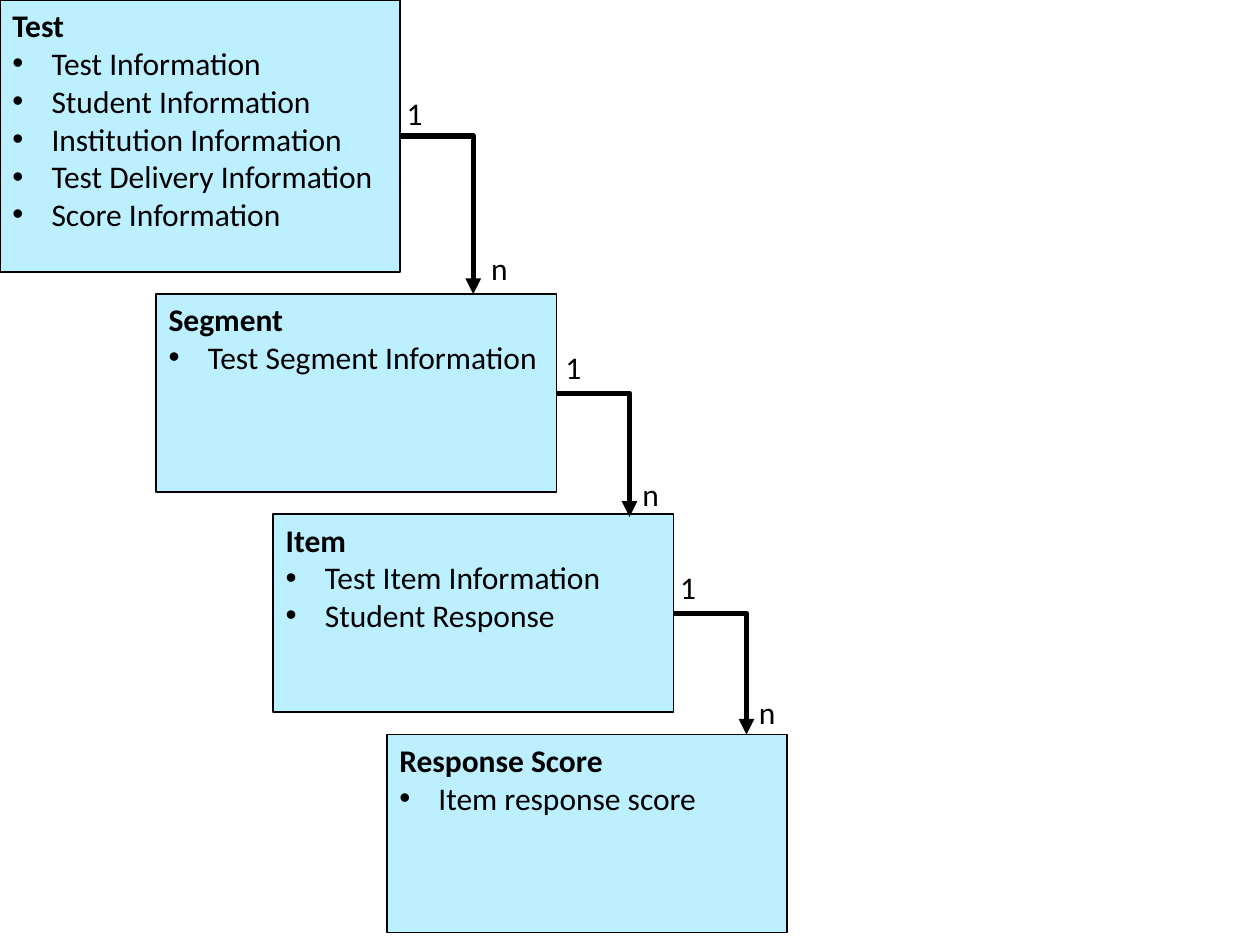
"""Build a slide showing the one-to-many hierarchy of test data."""
from dataclasses import dataclass
from itertools import pairwise

from lxml import etree
from pptx import Presentation
from pptx import util as u
from pptx.dml.color import RGBColor
from pptx.enum import shapes, text
from pptx.oxml.ns import qn

COLORS = {"box": "BCEFFF", "ink": "000000"}
FONT_NAME = "Calibri"
FONT_SIZE = u.Pt(18)
BOX_WIDTH = 8.07
BOX_GAP = 0.45
ELBOW_REACH = 1.47
BULLET_INDENT = u.Cm(0.79)


@dataclass
class Entity:
    name: str
    details: list[str]
    left: float
    height: float = 3.99
    top: float = 0
    one_offset: tuple[float, float] = (-0.09, -1.04)
    many_offset: tuple[float, float] = (0, -0.97)
    arrow_overlap: float = 0

    @property
    def right(self) -> float:
        return self.left + BOX_WIDTH

    @property
    def middle(self) -> float:
        return self.top + self.height / 2


ENTITIES = [
    Entity("Test", ["Test Information", "Student Information", "Institution Information",
                    "Test Delivery Information", "Score Information"],
           0, height=5.48, one_offset=(-0.12, -0.96), many_offset=(0.11, -1.03)),
    Entity("Segment", ["Test Segment Information"], 3.15,
           one_offset=(-0.07, -1.04), many_offset=(0.01, -0.92), arrow_overlap=0.05),
    Entity("Item", ["Test Item Information", "Student Response"], 5.51,
           one_offset=(-0.12, -1.04)),
    Entity("Response Score", ["Item response score"], 7.8),
]


def color(name: str) -> RGBColor:
    return RGBColor.from_string(COLORS[name])


def style_paragraph(paragraph, bold: bool = False) -> None:
    paragraph.alignment = text.PP_ALIGN.LEFT
    paragraph.font.name = FONT_NAME
    paragraph.font.size = FONT_SIZE
    paragraph.font.bold = bold
    paragraph.font.color.rgb = color("ink")


def add_bullet(paragraph) -> None:
    properties = paragraph._p.get_or_add_pPr()
    properties.set("marL", str(BULLET_INDENT))
    properties.set("indent", str(-BULLET_INDENT))
    bullet_font = etree.Element(qn("a:buFont"), typeface="Arial")
    bullet = etree.Element(qn("a:buChar"), char="•")
    defaults = properties.find(qn("a:defRPr"))
    defaults.addprevious(bullet_font)
    defaults.addprevious(bullet)


def draw_entity(slide, entity: Entity) -> None:
    shape = slide.shapes.add_shape(
        shapes.MSO_SHAPE.RECTANGLE, u.Cm(entity.left), u.Cm(entity.top),
        u.Cm(BOX_WIDTH), u.Cm(entity.height))
    shape.shadow.inherit = False
    shape.fill.solid()
    shape.fill.fore_color.rgb = color("box")
    shape.line.color.rgb = color("ink")
    shape.line.width = u.Pt(1)
    frame = shape.text_frame
    frame.word_wrap = True
    frame.vertical_anchor = text.MSO_ANCHOR.TOP
    heading = frame.paragraphs[0]
    heading.text = entity.name
    style_paragraph(heading, bold=True)
    for detail in entity.details:
        paragraph = frame.add_paragraph()
        paragraph.text = detail
        style_paragraph(paragraph)
        add_bullet(paragraph)


def draw_label(slide, label: str, left: float, top: float) -> None:
    shape = slide.shapes.add_textbox(u.Cm(left), u.Cm(top), u.Cm(0.85), u.Cm(1.02))
    shape.text_frame.word_wrap = False
    shape.text_frame.auto_size = text.MSO_AUTO_SIZE.SHAPE_TO_FIT_TEXT
    paragraph = shape.text_frame.paragraphs[0]
    paragraph.text = label
    style_paragraph(paragraph)


def draw_relation(slide, parent: Entity, child: Entity) -> None:
    elbow = parent.right + ELBOW_REACH
    connector = slide.shapes.add_connector(
        shapes.MSO_CONNECTOR.ELBOW, u.Cm(parent.right), u.Cm(parent.middle),
        u.Cm(elbow), u.Cm(child.top + parent.arrow_overlap))
    connector.line.color.rgb = color("ink")
    connector.line.width = u.Pt(3)
    properties = connector._element.spPr
    properties.find(qn("a:prstGeom")).set("prst", "bentConnector2")
    etree.SubElement(properties.find(qn("a:ln")), qn("a:tailEnd"), type="triangle")
    etree.SubElement(properties, qn("a:effectLst"))
    one_x, one_y = parent.one_offset
    many_x, many_y = parent.many_offset
    draw_label(slide, "1", parent.right + one_x, parent.middle + one_y)
    draw_label(slide, "n", elbow + many_x, child.top + many_y)


def main() -> None:
    presentation = Presentation()
    presentation.slide_width = u.Cm(25.4)
    presentation.slide_height = u.Cm(19.05)
    slide = presentation.slides.add_slide(presentation.slide_layouts[6])
    for parent, child in pairwise(ENTITIES):
        child.top = parent.top + parent.height + BOX_GAP
    for entity in ENTITIES:
        draw_entity(slide, entity)
    for parent, child in pairwise(ENTITIES):
        draw_relation(slide, parent, child)
    presentation.save("out.pptx")


main()
